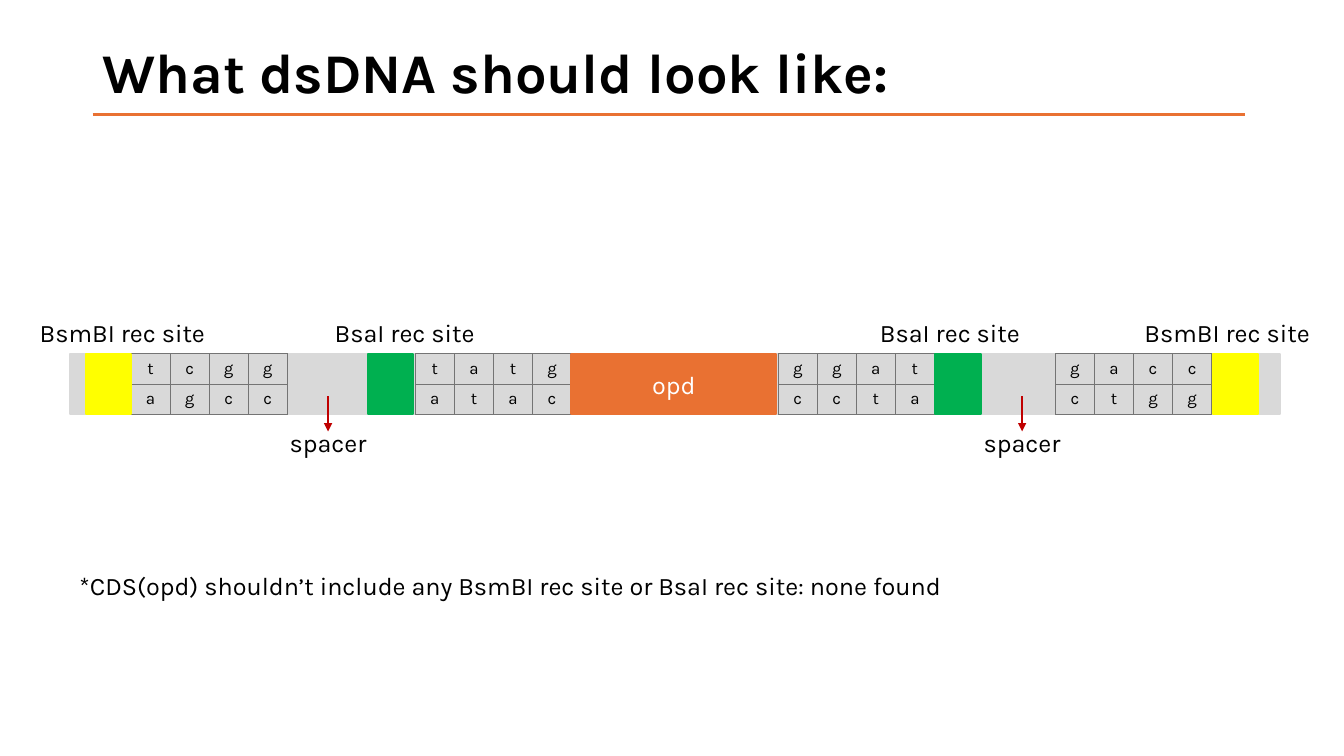
import dataclasses
import typing

import lxml.etree
import pptx
import pptx.dml.color
import pptx.enum.shapes
import pptx.enum.text
import pptx.oxml
import pptx.oxml.ns
import pptx.util

COLUMNS, ROWS = 133.33, 75
CELL = pptx.util.Inches(0.1)
FONT = "Karla"
BLACK, WHITE, GREY, BORDER = "000000", "FFFFFF", "D9D9D9", "747474"
YELLOW, GREEN, ORANGE, RED = "FFFF00", "00B050", "E97132", "C00000"
STRAND_ROW, STRAND_ROWS = 35.1, 6
SITE_COLUMNS, OVERHANG_COLUMNS, LABEL_COLUMNS = 4.5, 15.5, 20.3
LABEL_ROW, SPACER_ROW = 31, 41.9
CENTER = pptx.enum.text.PP_ALIGN.CENTER
LEFT = pptx.enum.text.PP_ALIGN.LEFT
MIDDLE = pptx.enum.text.MSO_ANCHOR.MIDDLE
TOP = pptx.enum.text.MSO_ANCHOR.TOP


@dataclasses.dataclass
class Block:
    column: float
    columns: float
    color: str
    text: str = ""


@dataclasses.dataclass
class Overhang:
    column: float
    strands: tuple[str, str]


@dataclasses.dataclass
class Label:
    text: str
    column: float
    row: float
    columns: float = LABEL_COLUMNS
    rows: float = 4
    size: float = 18
    bold: bool = False
    align: typing.Any = CENTER
    anchor: typing.Any = TOP
    spacing: float = 1


@dataclasses.dataclass
class Line:
    start: tuple[float, float]
    end: tuple[float, float]
    color: str
    width: float
    arrow: bool = False


SPACERS = [32.55, 101.4]
STRAND = Block(6.9, 120.1, GREY)
OVERHANGS = [
    Overhang(13, ("tcgg", "agcc")),
    Overhang(41.2, ("tatg", "atac")),
    Overhang(77.2, ("ggat", "ccta")),
    Overhang(104.7, ("gacc", "ctgg")),
]
BLOCKS = [
    Block(8.5, SITE_COLUMNS, YELLOW),
    Block(120.3, SITE_COLUMNS, YELLOW),
    Block(92.8, SITE_COLUMNS, GREEN),
    Block(36.5, SITE_COLUMNS, GREEN),
    Block(56.7, 20.3, ORANGE, "opd"),
]
TITLE = Label("What dsDNA should look like:", 9.2, 0.2, 115, 14.5, 40, True, LEFT, MIDDLE, 0.9)
LABELS = [
    Label("BsmBI rec site", 2, LABEL_ROW),
    Label("BsmBI rec site", 111.6, LABEL_ROW),
    Label("BsaI rec site", 84.1, LABEL_ROW),
    Label("BsaI rec site", 30, LABEL_ROW),
    *[Label("spacer", x - LABEL_COLUMNS / 2, SPACER_ROW) for x in SPACERS],
    Label(
        "*CDS(opd) shouldn’t include any BsmBI rec site or BsaI rec site: none found",
        6.9, 56.1, 97.8, align=LEFT,
    ),
]
RULE = Line((9.2, 11.4), (123.5, 11.4), ORANGE, 2.25)
ARROWS = [Line((x, 39.3), (x, 42.8), RED, 1.5, True) for x in SPACERS]


def grid(*cells: float) -> list[int]:
    return [round(n * CELL) for n in cells]


def rgb(color: str) -> pptx.dml.color.RGBColor:
    return pptx.dml.color.RGBColor.from_string(color)


def write(tf: typing.Any, text: str, size: float, color: str, align: typing.Any = CENTER) -> None:
    tf.text = text
    p = tf.paragraphs[0]
    p.alignment = align
    r = p.runs[0]
    r.font.name = FONT
    r.font.size = pptx.util.Pt(size)
    r.font.color.rgb = rgb(color)


def add_block(s: typing.Any, block: Block) -> None:
    sp = s.shapes.add_shape(
        pptx.enum.shapes.MSO_SHAPE.RECTANGLE,
        *grid(block.column, STRAND_ROW, block.columns, STRAND_ROWS),
    )
    sp.shadow.inherit = False
    sp.fill.solid()
    sp.fill.fore_color.rgb = rgb(block.color)
    sp.line.color.rgb = rgb(block.color)
    sp.line.width = pptx.util.Pt(1.5)
    if block.text:
        sp.text_frame.vertical_anchor = MIDDLE
        write(sp.text_frame, block.text, 18, WHITE)


def add_borders(cell: typing.Any) -> None:
    properties = cell._tc.get_or_add_tcPr()
    for side in ("lnL", "lnR", "lnT", "lnB"):
        properties.append(pptx.oxml.parse_xml(
            f'<a:{side} {pptx.oxml.ns.nsdecls("a")} w="{pptx.util.Pt(0.5)}">'
            f'<a:solidFill><a:srgbClr val="{BORDER}"/></a:solidFill></a:{side}>'
        ))


def add_overhang(s: typing.Any, overhang: Overhang) -> None:
    table = s.shapes.add_table(
        2, 4, *grid(overhang.column, STRAND_ROW, OVERHANG_COLUMNS, STRAND_ROWS)
    ).table
    table.first_row = table.horz_banding = False
    for row, strand in enumerate(overhang.strands):
        for column, base in enumerate(strand):
            cell = table.cell(row, column)
            add_borders(cell)
            cell.fill.solid()
            cell.fill.fore_color.rgb = rgb(GREY)
            write(cell.text_frame, base, 12, BLACK)


def add_label(s: typing.Any, label: Label) -> None:
    sp = s.shapes.add_textbox(*grid(label.column, label.row, label.columns, label.rows))
    tf = sp.text_frame
    tf.word_wrap = True
    tf.vertical_anchor = label.anchor
    write(tf, label.text, label.size, BLACK, label.align)
    p = tf.paragraphs[0]
    p.line_spacing = label.spacing
    p.runs[0].font.bold = label.bold


def add_line(s: typing.Any, line: Line) -> None:
    sp = s.shapes.add_connector(
        pptx.enum.shapes.MSO_CONNECTOR.STRAIGHT, *grid(*line.start, *line.end)
    )
    sp.line.color.rgb = rgb(line.color)
    sp.line.width = pptx.util.Pt(line.width)
    if line.arrow:
        tail = lxml.etree.SubElement(sp.line._get_or_add_ln(), pptx.oxml.ns.qn("a:tailEnd"))
        tail.set("type", "triangle")
    lxml.etree.SubElement(sp._element.spPr, pptx.oxml.ns.qn("a:effectLst"))


def main() -> None:
    prs = pptx.Presentation()
    prs.slide_width, prs.slide_height = grid(COLUMNS, ROWS)
    s = prs.slides.add_slide(prs.slide_layouts[6])
    add_label(s, TITLE)
    add_line(s, RULE)
    add_block(s, STRAND)
    for overhang in OVERHANGS:
        add_overhang(s, overhang)
    for block in BLOCKS:
        add_block(s, block)
    for label in LABELS:
        add_label(s, label)
    for arrow in ARROWS:
        add_line(s, arrow)
    prs.save("out.pptx")


if __name__ == "__main__":
    main()
